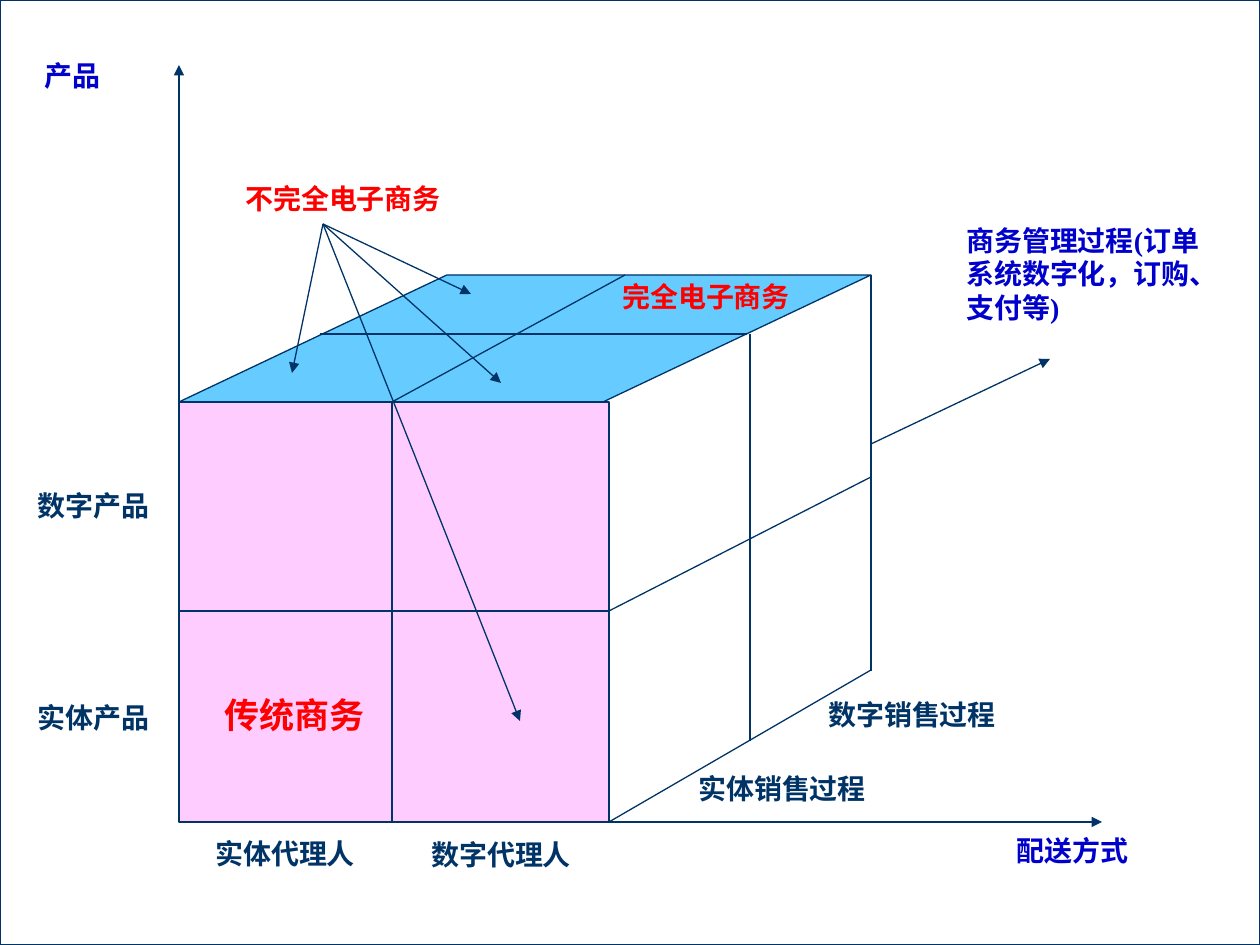
from lxml import etree
from pptx import Presentation
from pptx.dml.color import RGBColor
from pptx.enum.shapes import MSO_CONNECTOR, MSO_SHAPE
from pptx.oxml.ns import qn
from pptx.util import Emu, Pt

STRAIGHT = MSO_CONNECTOR.STRAIGHT
RECTANGLE = MSO_SHAPE.RECTANGLE
PARALLELOGRAM = MSO_SHAPE.PARALLELOGRAM

FONT = "Times New Roman"
NAVY = RGBColor(0x00, 0x33, 0x66)
BLUE = RGBColor(0x00, 0x00, 0xCC)
RED = RGBColor(0xFF, 0x00, 0x00)
SKY = RGBColor(0x66, 0xCC, 0xFF)
PINK = RGBColor(0xFF, 0xCC, 0xFF)
WHITE = RGBColor(0xFF, 0xFF, 0xFF)

PX_PER_INCH = 126
WIDTH, HEIGHT = 1260, 945

LEFT, MIDDLE, RIGHT, BACK = 179, 392, 609, 871
ROOF, TOP, CENTRE, BOTTOM = 275, 402, 611, 822
SIDE = 750
CALLOUT = (323, 224)

LABELS = [
    ("配送方式", 1004, 827, 181, 16, BLUE),
    ("商务管理过程(订单系统数字化，订购、支付等)", 954, 217, 262, 16, BLUE),
    ("产品", 32, 52, 368, 16, BLUE),
    ("完全电子商务", 610, 273, 199, 16, RED),
    ("传统商务", 212, 687, 199, 20, RED),
    ("数字产品", 25, 482, 139, 16, NAVY),
    ("实体产品", 25, 694, 198, 16, NAVY),
    ("实体代理人", 203, 830, 198, 16, NAVY),
    ("数字代理人", 419, 831, 198, 16, NAVY),
    ("实体销售过程", 686, 765, 268, 16, NAVY),
    ("数字销售过程", 816, 691, 268, 16, NAVY),
    ("不完全电子商务", 233, 175, 268, 16, RED),
]

CUBE_LINES = [
    ((BACK, ROOF), (BACK, 671)),
    ((RIGHT, BOTTOM), (BACK, 670)),
    ((LEFT, CENTRE), (RIGHT, CENTRE)),
    ((RIGHT, CENTRE), (BACK, 477)),
    ((320, 334), (747, 334)),
    ((625, ROOF), (MIDDLE, TOP)),
    ((MIDDLE, TOP), (MIDDLE, BOTTOM)),
    ((SIDE, 334), (SIDE, 741)),
]
AXES = [
    ((BACK, 444), (1050, 359)),
    ((599, BOTTOM), (1102, BOTTOM)),
    ((LEFT, 412), (LEFT, 65)),
]
CALLOUT_TIPS = [(292, 373), (501, 383), (471, 294), (520, 721)]


def px(value):
    return Emu(round(value * 914400 / PX_PER_INCH))


def add_face(slide, kind, left, top, width, height, color):
    face = slide.shapes.add_shape(kind, px(left), px(top), px(width), px(height))
    face.shadow.inherit = False
    face.fill.solid()
    face.fill.fore_color.rgb = color
    face.line.color.rgb = NAVY
    face.line.width = Pt(0.75)
    return face


def add_line(slide, start, end, arrow=False):
    line = slide.shapes.add_connector(STRAIGHT, *map(px, start + end))
    line.line.color.rgb = NAVY
    line.line.width = Pt(0.75)
    if arrow:
        etree.SubElement(line.line._get_or_add_ln(), qn("a:tailEnd"), type="triangle")
    etree.SubElement(line._element.spPr, qn("a:effectLst"))


def add_label(slide, text, left, top, width, size, color):
    height = 113 if width == 262 else 55 if size == 20 else 47
    label = slide.shapes.add_textbox(px(left), px(top), px(width), px(height))
    label.text_frame.word_wrap = True
    run = label.text_frame.paragraphs[0].add_run()
    run.text = text
    run.font.name = FONT
    run.font.size = Pt(size)
    run.font.bold = True
    run.font.color.rgb = color


def main():
    deck = Presentation()
    deck.slide_width, deck.slide_height = px(WIDTH), px(HEIGHT)
    slide = deck.slides.add_slide(deck.slide_layouts[6])

    add_face(slide, RECTANGLE, 0, 0, WIDTH, HEIGHT, WHITE)
    roof = add_face(slide, PARALLELOGRAM, LEFT, ROOF, BACK - LEFT, TOP - ROOF, SKY)
    roof.adjustments[0] = 2.11
    add_face(slide, RECTANGLE, LEFT, TOP, RIGHT - LEFT, BOTTOM - TOP, PINK)

    for start, end in CUBE_LINES:
        add_line(slide, start, end)
    for start, end in AXES:
        add_line(slide, start, end, arrow=True)
    for label in LABELS:
        add_label(slide, *label)
    for tip in CALLOUT_TIPS:
        add_line(slide, CALLOUT, tip, arrow=True)

    deck.save("out.pptx")


if __name__ == "__main__":
    main()
